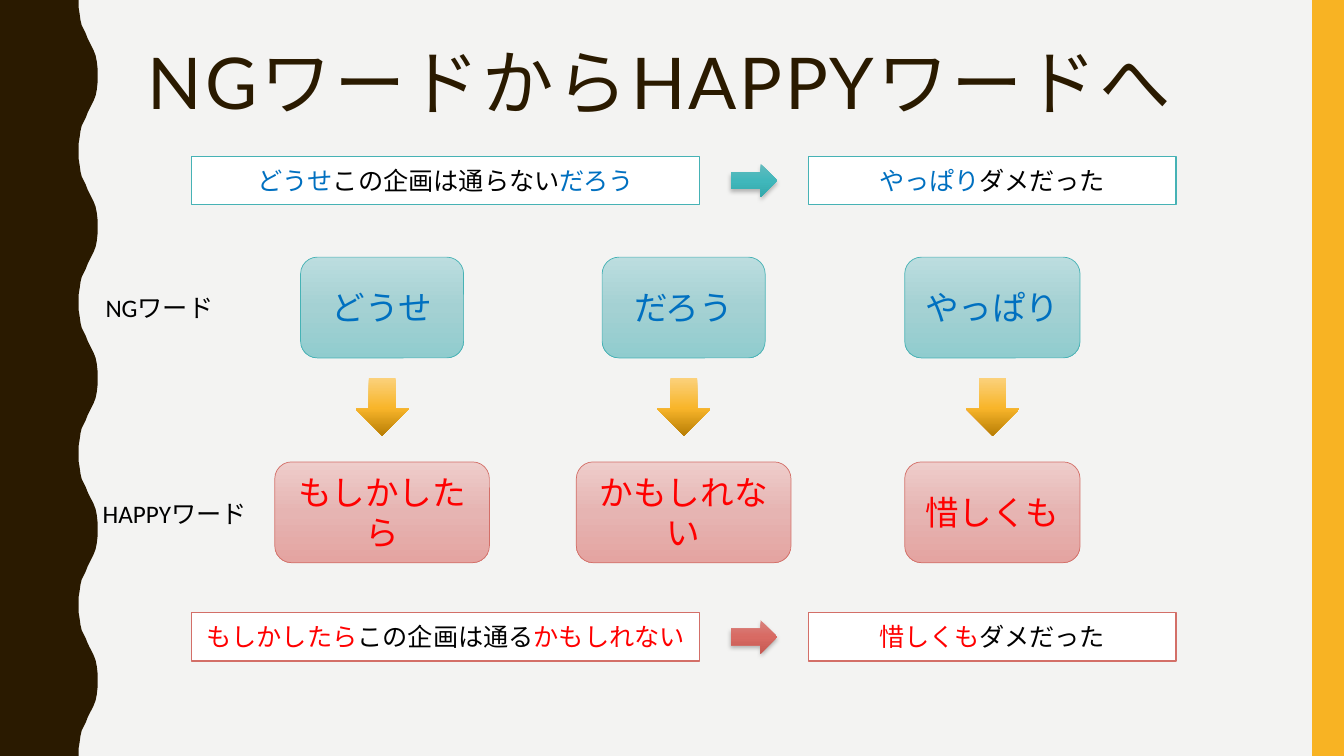
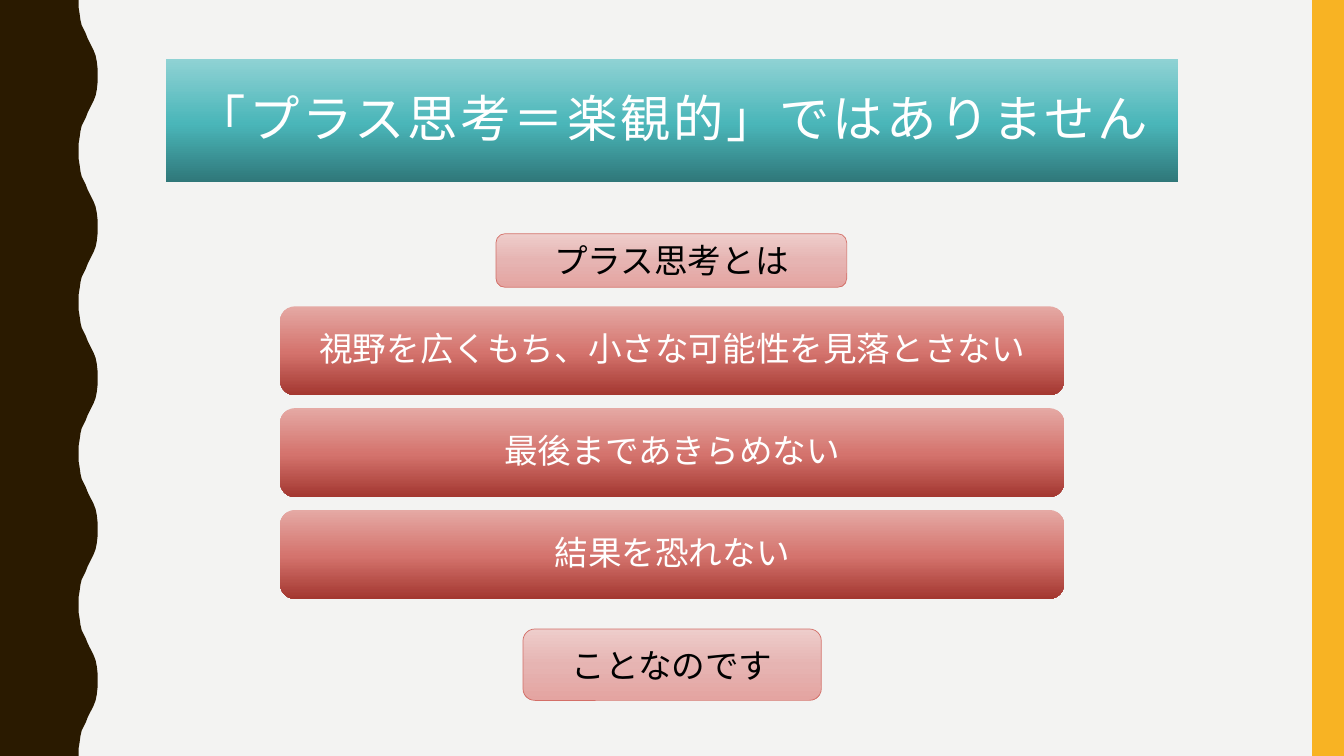
import collections
import copy

import lxml.etree
import pptx
import pptx.dml.color
import pptx.enum.shapes
import pptx.enum.text
import pptx.oxml.ns
import pptx.util

Cm = pptx.util.Cm
Pt = pptx.util.Pt
SHAPE = pptx.enum.shapes.MSO_SHAPE
ALIGN = pptx.enum.text.PP_ALIGN
ANCHOR = pptx.enum.text.MSO_ANCHOR
qn = pptx.oxml.ns.qn

Box = collections.namedtuple("Box", "left top width height")
Theme = collections.namedtuple("Theme", "word edge card arrow")

COLORS = {
    "paper": "F3F3F2", "brown": "2A1A00", "amber": "F8B323",
    "white": "FFFFFF", "black": "000000",
    "blue": "0070C0", "red": "FF0000", "teal": "46B2B5", "rose": "D36F68",
}
GRADIENTS = {
    "pale teal": [(0, "BCDDDF"), (0.5, "A4D1D3"), (1, "90CCCE")],
    "pale rose": [(0, "EECDCB"), (0.5, "E6B4B2"), (1, "E4A4A1")],
    "teal arrow": [(0, "64BBBE"), (0.5, "40B7BB"), (1, "34A8AB")],
    "rose arrow": [(0, "D9827D"), (0.5, "D86A63"), (1, "C65952")],
    "amber": [(0, "FBD17B"), (0.52, "F8B52A"), (1, "B87E06")],
    "teal": [(0, "8FD2D4"), (0.52, "4AB6B9"), (1, "2F7779")],
    "rose": [(0, "E5A9A4"), (0.52, "D4736D"), (1, "A33730")],
}
NG = Theme("blue", "teal", "pale teal", "teal arrow")
HAPPY = Theme("red", "rose", "pale rose", "rose arrow")

BODY_FONT = "Calibri"
JAPANESE_FONT = "Noto Sans CJK JP"
PAGE_WIDTH, PAGE_HEIGHT = 33.87, 19.05
WAVE_PERIOD = 3.81
HALF_WAVE = [
    (1.98, 0), (1.98, 0.18), (2.01, 0.36), (2.03, 0.51), (2.06, 0.64),
    (2.11, 0.74), (2.16, 0.84), (2.21, 0.97), (2.26, 1.07), (2.31, 1.17),
    (2.36, 1.27), (2.41, 1.4), (2.44, 1.55), (2.46, 1.73), (2.46, 1.9),
]


def rgb(name):
    """Return the named colour."""
    return pptx.dml.color.RGBColor.from_string(COLORS[name])


def paint(shape, fill):
    """Fill a shape with a gradient running downwards or a plain colour."""
    if fill not in GRADIENTS or fill in ("amber band",):
        shape.fill.solid()
        shape.fill.fore_color.rgb = rgb(fill)
        return
    shape.fill.gradient()
    shape.fill.gradient_angle = 270
    stop_list = shape.element.spPr.find(".//" + qn("a:gsLst"))
    stop_list.append(copy.deepcopy(stop_list[0]))
    for stop, (position, color) in zip(shape.fill.gradient_stops, GRADIENTS[fill]):
        stop.position = position
        stop.color.rgb = pptx.dml.color.RGBColor.from_string(color)


def outline(shape, color=None, width=0.5):
    """Give a shape a flat look with a thin line or none."""
    shape.shadow.inherit = False
    if color:
        shape.line.color.rgb = rgb(color)
        shape.line.width = Pt(width)
    else:
        shape.line.fill.background()


def add_shadow(shape):
    """Drop a soft shadow straight below a shape."""
    effects = shape.element.spPr.find(qn("a:effectLst"))
    shadow = lxml.etree.SubElement(
        effects, qn("a:outerShdw"), blurRad=str(Pt(3)), dist=str(Pt(2)),
        dir="5400000", algn="ctr", rotWithShape="0")
    color = lxml.etree.SubElement(shadow, qn("a:srgbClr"), val=COLORS["black"])
    lxml.etree.SubElement(color, qn("a:alpha"), val="25000")


def write(shape, spans, size=24, font=BODY_FONT, color="black", align=ALIGN.CENTER,
          anchor=ANCHOR.MIDDLE, wrap=True, line_spacing=None, tracking=0):
    """Write one paragraph of text, or of (text, format) spans, into a shape."""
    frame = shape.text_frame
    frame.word_wrap = wrap
    frame.vertical_anchor = anchor
    para = frame.paragraphs[0]
    para.alignment = align
    para.line_spacing = line_spacing
    if isinstance(spans, str):
        spans = [(spans, {})]
    for text, own in spans:
        span = para.add_run()
        span.text = text
        span.font.size = Pt(size)
        span.font.color.rgb = rgb(own.get("color", color))
        span.font.name = own.get("font", font)
        properties = span.font._element
        lxml.etree.SubElement(properties, qn("a:ea"), typeface=JAPANESE_FONT)
        if tracking:
            properties.set("spc", str(tracking * 100))


def add_box(page, kind, box, fill, edge=None, edge_width=0.5):
    """Add a preset shape in its final colours."""
    shape = page.shapes.add_shape(kind, *map(Cm, box))
    paint(shape, fill)
    outline(shape, edge, edge_width)
    return shape


def add_text(page, box, spans, **style):
    """Add a text box."""
    write(page.shapes.add_textbox(*map(Cm, box)), spans, **style)


def add_wave(page):
    """Draw the dark band with the wavy edge."""
    falling = [(x, WAVE_PERIOD - y) for x, y in reversed(HALF_WAVE[:-1])]
    points = [(x, y + turn * WAVE_PERIOD)
              for turn in range(5) for x, y in HALF_WAVE + falling]
    points.append((0, PAGE_HEIGHT))
    builder = page.shapes.build_freeform(0, 0)
    builder.add_line_segments([(Cm(x), Cm(y)) for x, y in points], close=True)
    band = builder.convert_to_shape()
    paint(band, "brown")
    outline(band)


def add_page(deck):
    """Add a blank page with the shared side bands."""
    page = deck.slides.add_slide(deck.slide_layouts[6])
    add_wave(page)
    band = page.shapes.add_shape(
        SHAPE.RECTANGLE, *map(Cm, (33.07, 0, 0.8, PAGE_HEIGHT)))
    band.fill.solid()
    band.fill.fore_color.rgb = rgb("amber")
    outline(band)
    return page


def add_sentences(page, box, theme, first, second):
    """Place a sentence, an arrow and its outcome side by side."""
    for offset, width, spans in ((0, 12.8, first), (15.54, 9.27, second)):
        part = Box(box.left + offset, box.top, width, box.height)
        shape = add_box(page, SHAPE.RECTANGLE, part, "white", theme.edge, 1)
        marked = [(text, {"color": theme.word if strong else "black"})
                  for text, strong in spans]
        write(shape, marked, size=18, font=JAPANESE_FONT)
    height = 0.84
    arrow = Box(box.left + 13.59, box.top + (box.height - height) / 2, 1.17, height)
    add_shadow(add_box(page, SHAPE.RIGHT_ARROW, arrow, theme.arrow))


def add_word_pair(page, box, ng_word, ng_width, happy_word, happy_width):
    """Stack an NG word, a down arrow and its HAPPY word on one centre line."""
    center = box.left + box.width / 2
    height = 2.54
    for theme, word, width, top in (
            (NG, ng_word, ng_width, box.top),
            (HAPPY, happy_word, happy_width, box.top + box.height - height)):
        part = Box(center - width / 2, top, width, height)
        card = add_box(page, SHAPE.ROUNDED_RECTANGLE, part, theme.card, theme.edge)
        write(card, word, font=JAPANESE_FONT, color=theme.word)
    arrow = Box(center - 0.67, box.top + 3.05, 1.35, 1.45)
    add_box(page, SHAPE.DOWN_ARROW, arrow, "amber")


def add_bars(page, box, lines):
    """Stack equal bars of text from the top to the bottom of a box."""
    height = 2.24
    pitch = (box.height - height) / (len(lines) - 1)
    for index, line in enumerate(lines):
        part = Box(box.left, box.top + index * pitch, box.width, height)
        bar = add_box(page, SHAPE.ROUNDED_RECTANGLE, part, "rose")
        write(bar, line, color="white", line_spacing=0.9)


def build_words_page(deck):
    """Build the page that turns NG words into HAPPY words."""
    page = add_page(deck)
    latin, kana = {"font": "Lato"}, {"font": "Roboto Condensed"}
    add_text(page, Box(3.48, 1.07, 28.27, 4.14),
             [("NG", latin), ("ワードから", kana), ("HAPPY", latin), ("ワードへ", kana)],
             size=51, color="brown", align=ALIGN.LEFT, anchor=ANCHOR.TOP,
             line_spacing=0.9, tracking=2)
    add_sentences(page, Box(4.83, 3.94, 24.81, 1.22), NG,
                  [("どうせ", True), ("この企画は通らない", False), ("だろう", True)],
                  [("やっぱり", True), ("ダメだった", False)])
    add_sentences(page, Box(4.83, 15.44, 24.81, 1.22), HAPPY,
                  [("もしかしたら", True), ("この企画は通る", False), ("かもしれない", True)],
                  [("惜しくも", True), ("ダメだった", False)])
    for center, *pair in ((9.63, "どうせ", 4.11, "もしかしたら", 5.41),
                          (17.23, "だろう", 4.11, "かもしれない", 5.41),
                          (25.01, "やっぱり", 4.42, "惜しくも", 4.42)):
        add_word_pair(page, Box(center - 2.7, 6.48, 5.4, 7.7), *pair)
    for label, box in (("NGワード", Box(2.41, 7.24, 3.4, 1.02)),
                       ("HAPPYワード", Box(2.34, 12.42, 4.37, 1.02))):
        add_text(page, box, label, size=18, align=ALIGN.LEFT,
                 anchor=ANCHOR.TOP, wrap=False)


def build_thinking_page(deck):
    """Build the page that explains positive thinking."""
    page = add_page(deck)
    title = add_box(page, SHAPE.RECTANGLE, Box(4.19, 1.5, 25.5, 3.1), "teal")
    write(title, "「プラス思考＝楽観的」ではありません", size=36, color="white",
          line_spacing=0.9, tracking=2)
    add_bars(page, Box(7.06, 7.72, 19.76, 7.37),
             ["視野を広くもち、小さな可能性を見落とさない",
              "最後まであきらめない", "結果を恐れない"])
    for text, box in (("プラス思考とは", Box(12.5, 5.89, 8.84, 1.35)),
                      ("ことなのです", Box(13.18, 15.85, 7.52, 1.8))):
        write(add_box(page, SHAPE.ROUNDED_RECTANGLE, box, "pale rose", "rose"), text)


def main():
    """Build and save the deck."""
    deck = pptx.Presentation()
    deck.slide_width, deck.slide_height = Cm(PAGE_WIDTH), Cm(PAGE_HEIGHT)
    background = deck.slide_master.background.fill
    background.solid()
    background.fore_color.rgb = rgb("paper")
    build_words_page(deck)
    build_thinking_page(deck)
    deck.save("out.pptx")


if __name__ == "__main__":
    main()
